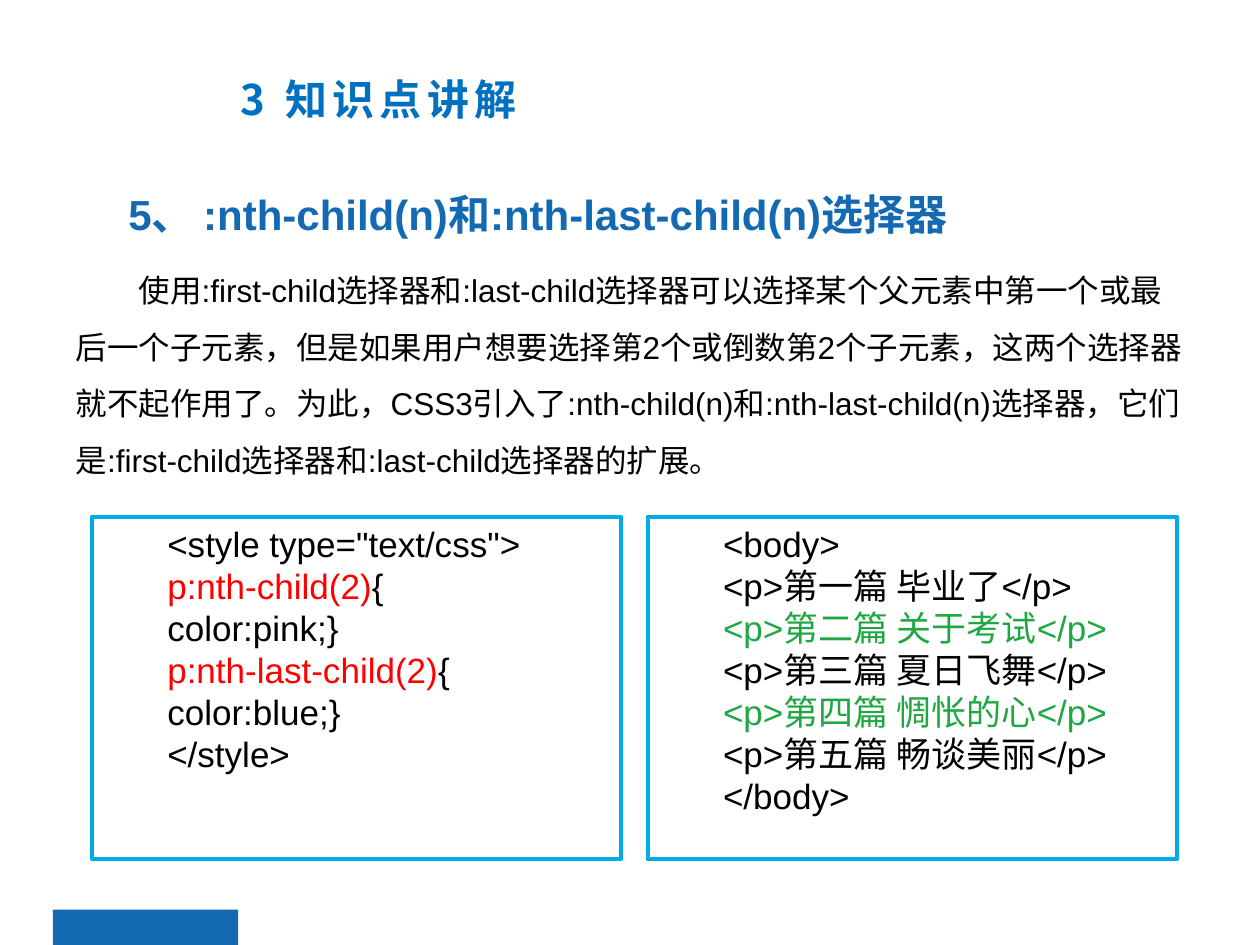
from lxml import etree
from pptx import Presentation
from pptx.dml.color import RGBColor
from pptx.enum.shapes import MSO_SHAPE
from pptx.enum.text import MSO_ANCHOR, MSO_AUTO_SIZE, PP_ALIGN
from pptx.oxml.ns import qn
from pptx.util import Inches, Pt

RECTANGLE = MSO_SHAPE.RECTANGLE
TOP = MSO_ANCHOR.TOP
LEFT = PP_ALIGN.LEFT
NO_AUTOFIT = MSO_AUTO_SIZE.NONE
LATIN_FONT = "Arial"
CJK_FONT = "Noto Sans CJK SC"
BLACK, RED, GREEN = "000000", "FF0000", "1FA743"
BLUE, TITLE_BLUE, FRAME_BLUE = "1369B2", "0070C0", "00ACE6"

INTRO = (
    "使用:first-child选择器和:last-child选择器可以选择某个父元素中第一个或"
    "最后一个子元素，但是如果用户想要选择第2个或倒数第2个子元素，这两个选"
    "择器就不起作用了。为此，CSS3引入了:nth-child(n)和:nth-last-child(n)选择"
    "器，它们是:first-child选择器和:last-child选择器的扩展。"
)
CSS_LINES = [
    [('<style type="text/css">', BLACK)],
    [("p:nth-child(2)", RED), ("{", BLACK)],
    [("color:pink;}", BLACK)],
    [("p:nth-last-child(2)", RED), ("{", BLACK)],
    [("color:blue;}", BLACK)],
    [("</style>", BLACK)],
]
HTML_LINES = [
    [("<body>", BLACK)],
    [("<p>第一篇 毕业了</p>", BLACK)],
    [("<p>第二篇 关于考试</p>", GREEN)],
    [("<p>第三篇 夏日飞舞</p>", BLACK)],
    [("<p>第四篇 惆怅的心</p>", GREEN)],
    [("<p>第五篇 畅谈美丽</p>", BLACK)],
    [("</body>", BLACK)],
]


def rgb(color):
    """Return the colour for a hex string."""
    return RGBColor.from_string(color)


def place(shape, left, top, width, height):
    """Move and size a shape, in inches."""
    shape.left, shape.top = Inches(left), Inches(top)
    shape.width, shape.height = Inches(width), Inches(height)


def prepare_frame(shape):
    """Return the shape's text frame, wrapped and anchored at the top."""
    frame = shape.text_frame
    frame.word_wrap = True
    frame.auto_size = NO_AUTOFIT
    frame.vertical_anchor = TOP
    return frame


def format_paragraph(paragraph, margin=0.0, indent=0.0):
    """Align a paragraph left without a bullet, with indents in inches."""
    paragraph.alignment = LEFT
    properties = paragraph._p.get_or_add_pPr()
    properties.set("marL", str(Inches(margin)))
    properties.set("indent", str(Inches(indent)))
    etree.SubElement(properties, qn("a:buNone"))


def add_run(paragraph, text, size, color, bold=False, latin=LATIN_FONT):
    """Append a formatted run and return it."""
    run = paragraph.add_run()
    run.text = text
    run.font.size = Pt(size)
    run.font.bold = bold
    run.font.color.rgb = rgb(color)
    run.font.name = latin
    east_asian = etree.SubElement(run._r.get_or_add_rPr(), qn("a:ea"))
    east_asian.set("typeface", CJK_FONT)
    return run


def add_title(slide):
    """Fill the title placeholder."""
    title = slide.shapes.title
    place(title, 1.81, 0.53, 8.49, 0.79)
    paragraph = prepare_frame(title).paragraphs[0]
    format_paragraph(paragraph)
    run = add_run(paragraph, "3 知识点讲解", 24, TITLE_BLUE, True, CJK_FONT)
    run._r.get_or_add_rPr().set("spc", "300")


def add_intro(slide):
    """Fill the body placeholder with the explanation."""
    body = slide.placeholders[1]
    place(body, 0.5, 1.95, 9, 4.21)
    paragraph = prepare_frame(body).paragraphs[0]
    format_paragraph(paragraph, indent=0.5)
    paragraph.line_spacing = 1.5
    paragraph.space_before = Pt(3.6)
    add_run(paragraph, INTRO, 18, BLACK)


def add_heading(slide):
    """Add the section heading."""
    heading = slide.shapes.add_textbox(
        Inches(0.42), Inches(1.45), Inches(8.36), Inches(0.5))
    paragraph = prepare_frame(heading).paragraphs[0]
    format_paragraph(paragraph, margin=0.5)
    paragraph.space_before = Pt(4.2)
    add_run(paragraph, "5、 :nth-child(n)和:nth-last-child(n)选择器", 24, BLUE, True)


def add_rectangle(slide, left, top, width, height):
    """Add a rectangle without a shadow."""
    rectangle = slide.shapes.add_shape(
        RECTANGLE, Inches(left), Inches(top), Inches(width), Inches(height))
    rectangle.shadow.inherit = False
    return rectangle


def add_footer_block(slide):
    """Add the solid block at the bottom edge."""
    block = add_rectangle(slide, 0.42, 7.22, 1.47, 0.28)
    block.fill.solid()
    block.fill.fore_color.rgb = rgb(BLUE)
    block.line.fill.background()


def add_code_box(slide, left, code_lines):
    """Add a framed code listing."""
    box = add_rectangle(slide, left, 4.1, 4.2, 2.72)
    box.fill.background()
    box.line.color.rgb = rgb(FRAME_BLUE)
    box.line.width = Pt(2.25)
    frame = prepare_frame(box)
    for index, code_line in enumerate(code_lines):
        paragraph = frame.add_paragraph() if index else frame.paragraphs[0]
        format_paragraph(paragraph, indent=0.5)
        for text, color in code_line:
            add_run(paragraph, text, 20, color)


def main():
    """Build the slide and save it."""
    presentation = Presentation()
    presentation.slide_width = Inches(10)
    presentation.slide_height = Inches(7.5)
    slide = presentation.slides.add_slide(presentation.slide_layouts[1])
    add_footer_block(slide)
    add_intro(slide)
    add_heading(slide)
    add_title(slide)
    add_code_box(slide, 0.73, CSS_LINES)
    add_code_box(slide, 5.14, HTML_LINES)
    presentation.save("out.pptx")


if __name__ == "__main__":
    main()
